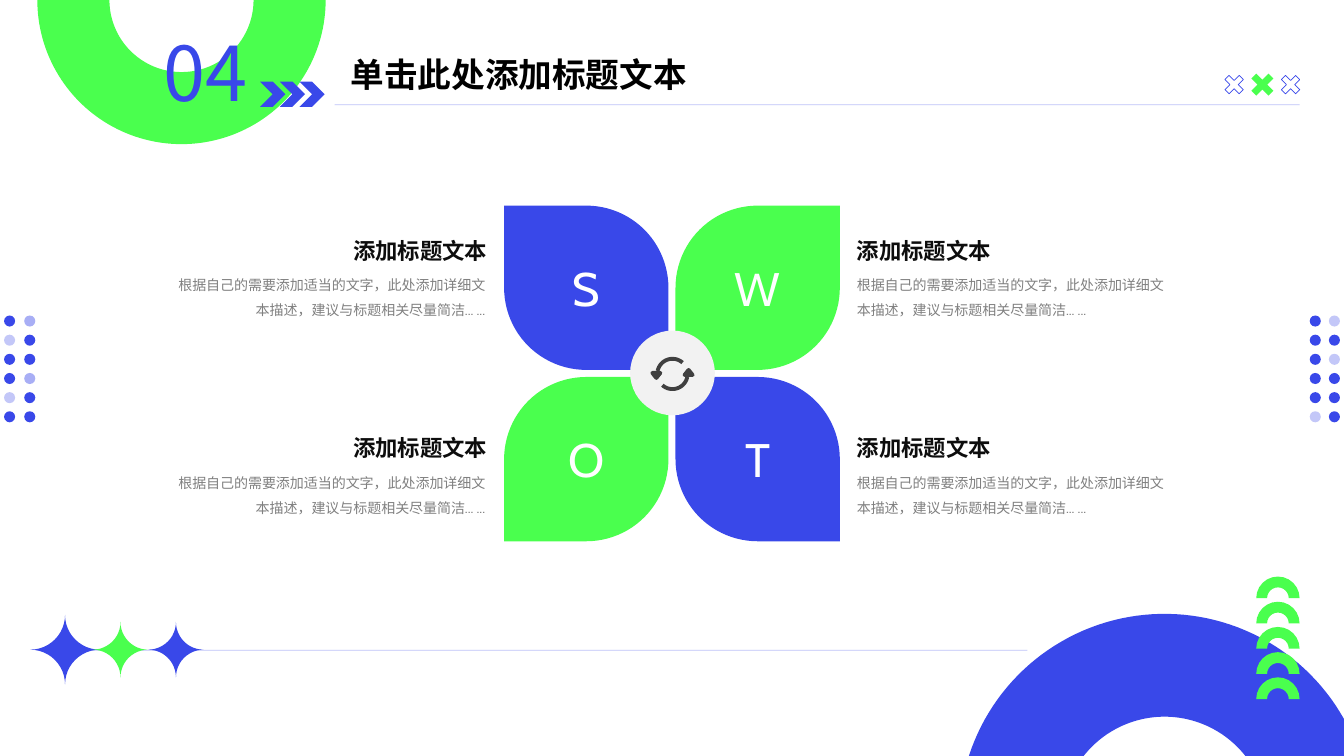
from math import acos, asin, cos, pi, sin

from lxml.etree import SubElement
from pptx import Presentation
from pptx.dml.color import RGBColor
from pptx.enum.shapes import MSO_CONNECTOR, MSO_SHAPE
from pptx.enum.text import MSO_ANCHOR, MSO_AUTO_SIZE, PP_ALIGN
from pptx.oxml.ns import qn
from pptx.util import Inches, Pt

BLUE = RGBColor(0x39, 0x48, 0xE9)
GREEN = RGBColor(0x4A, 0xFF, 0x4E)
BLACK = RGBColor(0, 0, 0)
HEADING = RGBColor(0x0D, 0x0D, 0x0D)
GREY = RGBColor(0x80, 0x80, 0x80)
DARK = RGBColor(0x40, 0x40, 0x40)
PALE = RGBColor(0xF2, 0xF2, 0xF2)
WHITE = RGBColor(0xFF, 0xFF, 0xFF)
FONT, NUMBER_FONT = "Cabin", "Noto Sans CJK SC"
WIDTH, HEIGHT = 13.33, 7.5

# Content
NUMBER = "04"
TITLE = "单击此处添加标题文本"
SUBTITLE = "添加标题文本"
DETAIL = "根据自己的需要添加适当的文字，此处添加详细文本描述，建议与标题相关尽量简洁... ..."
# letter, column, row, colour, heading, detail
SWOT = [
    ("S", 0, 0, BLUE, SUBTITLE, DETAIL),
    ("W", 1, 0, GREEN, SUBTITLE, DETAIL),
    ("O", 0, 1, GREEN, SUBTITLE, DETAIL),
    ("T", 1, 1, BLUE, SUBTITLE, DETAIL),
]
# left edges of the two columns, then opacity in percent for each row
DOTS = [
    ((0.04, 0.24), [(100, 44), (30, 100), (100, 100), (100, 44), (30, 100), (100, 100)]),
    ((12.99, 13.18), [(100, 30), (100, 100), (100, 30), (100, 100), (100, 100), (30, 100)]),
]
# left, top, size, colour
STARS = [(0.3, 6.1, 0.69, BLUE), (1.47, 6.17, 0.55, BLUE), (0.92, 6.17, 0.55, GREEN)]
# left, top, size, filled
CROSSES = [(12.14, 0.74, 0.2, False), (12.4, 0.72, 0.24, True), (12.7, 0.74, 0.2, False)]
# left, right, height on the slide
RULES = [(3.32, 12.89, 1.04), (0.48, 10.19, 6.45)]

prs = Presentation()
prs.slide_width, prs.slide_height = Inches(WIDTH), Inches(HEIGHT)
slide = prs.slides.add_slide(prs.slide_layouts[6])
shapes = slide.shapes


def set_opacity(fill_parent, percent):
    colour = next(fill_parent.iter(qn("a:srgbClr")))
    SubElement(colour, qn("a:alpha")).set("val", str(percent * 1000))


def paint(shape, fill=None, line=None, line_width=0.5):
    shape.shadow.inherit = False
    if fill is None:
        shape.fill.background()
    else:
        shape.fill.solid()
        shape.fill.fore_color.rgb = fill
    if line is None:
        shape.line.fill.background()
    else:
        shape.line.color.rgb = line
        shape.line.width = Pt(line_width)
    return shape


def add_preset(kind, left, top, size, fill=None, line=None, adjust=(), rotation=0):
    shape = shapes.add_shape(kind, Inches(left), Inches(top), Inches(size), Inches(size))
    for index, value in enumerate(adjust):
        shape.adjustments[index] = value
    shape.rotation = rotation
    return paint(shape, fill, line)


def add_outline(contours):
    """Each contour is (points in inches, closed)."""
    scaled = [([(Inches(x), Inches(y)) for x, y in points], closed) for points, closed in contours]
    builder = shapes.build_freeform(*scaled[0][0][0], scale=1.0)
    for index, (points, closed) in enumerate(scaled):
        if index:
            builder.move_to(*points[0])
        builder.add_line_segments(points[1:], close=closed)
    return builder.convert_to_shape()


def arc(cx, cy, radius, start, end, steps=60):
    angles = [start + (end - start) * i / steps for i in range(steps + 1)]
    return [(cx + radius * cos(a), cy + radius * sin(a)) for a in angles]


def style(frame, text, size, colour, font=FONT, bold=False, align=PP_ALIGN.LEFT, spacing=None):
    paragraph = frame.paragraphs[0]
    paragraph.text = text
    paragraph.alignment = align
    if spacing:
        paragraph.line_spacing = spacing
    paragraph.font.name, paragraph.font.size = font, Pt(size)
    paragraph.font.bold, paragraph.font.color.rgb = bold, colour


def add_text(left, top, width, height, *args, wrap=True, **kwargs):
    frame = shapes.add_textbox(Inches(left), Inches(top), Inches(width), Inches(height)).text_frame
    frame.word_wrap = wrap
    frame.auto_size = MSO_AUTO_SIZE.SHAPE_TO_FIT_TEXT
    style(frame, *args, **kwargs)


# Corner rings: the lower one is cut at the slide edges
RING_X, RING_Y, OUTER, INNER = 11.55, 8.13, 2.04, 1.02
rise = HEIGHT - RING_Y
outer_arc = arc(RING_X, RING_Y, OUTER, pi - asin(rise / OUTER) - 2 * pi, -acos((WIDTH - RING_X) / OUTER))
inner_arc = arc(RING_X, RING_Y, INNER, asin(rise / INNER), -pi - asin(rise / INNER))
paint(add_outline([(outer_arc + [(WIDTH, HEIGHT)] + inner_arc, True)]), BLUE)
add_preset(MSO_SHAPE.BLOCK_ARC, 0.37, -1.43, 2.86, GREEN, rotation=180)

# Small arches and chevrons
for i in range(5):
    add_preset(MSO_SHAPE.BLOCK_ARC, 12.46, 5.72 + 0.25 * i, 0.43, GREEN)
for i in range(3):
    add_preset(MSO_SHAPE.CHEVRON, 2.58 + 0.195 * i, 0.81, 0.25, BLUE)

# Dot grids at both sides
for columns, rows in DOTS:
    for row, opacities in enumerate(rows):
        for left, opacity in zip(columns, opacities):
            dot = add_preset(MSO_SHAPE.OVAL, left, 3.13 + 0.19 * row, 0.11, BLUE)
            if opacity < 100:
                set_opacity(dot.fill._xPr, opacity)

# Crosses, rules and stars
for left, top, size, filled in CROSSES:
    add_preset(MSO_SHAPE.CROSS, left, top, size, GREEN if filled else None,
               None if filled else BLUE, adjust=(0.356,), rotation=45)
for left, right, y in RULES:
    rule = shapes.add_connector(MSO_CONNECTOR.STRAIGHT, Inches(left), Inches(y), Inches(right), Inches(y))
    rule.line.color.rgb = BLUE
    rule.line.width = Pt(0.5)
    properties = rule._element.spPr
    set_opacity(properties, 33)
    SubElement(properties, qn("a:effectLst"))
for left, top, size, colour in STARS:
    add_preset(MSO_SHAPE.PLAQUE, left, top, size, colour, adjust=(0.5,))

# Header
add_text(1.52, 0.21, 1.1, 1.01, NUMBER, 54, BLUE, font=NUMBER_FONT, wrap=False)
add_text(3.38, 0.49, 3.97, 0.5, TITLE, 24, BLACK, bold=True)

# Petals with their texts
PETAL, PITCH = 1.63, 1.7
for letter, column, row, colour, heading, detail in SWOT:
    corners = (0, 0.5) if column == row else (0.5, 0)
    petal = add_preset(MSO_SHAPE.ROUND_2_DIAG_RECTANGLE, 5 + PITCH * column, 2.04 + PITCH * row,
                       PETAL, colour, adjust=corners)
    petal.text_frame.vertical_anchor = MSO_ANCHOR.MIDDLE
    style(petal.text_frame, letter, 33.6, WHITE, align=PP_ALIGN.CENTER)

    align = PP_ALIGN.LEFT if column else PP_ALIGN.RIGHT
    drop = 1.96 * row
    add_text(8.4 if column else 1.67, 2.61 + drop, 3.24, 0.58, detail, 10, GREY, align=align, spacing=1.5)
    add_text(8.4 if column else 2.49, 2.3 + drop, 2.44, 0.37, heading, 16, HEADING, bold=True, align=align)

# Hub with the cycle icon: one arrow, and the same arrow turned by half a circle
HUB_X, HUB_Y = 6.67, 3.71
add_preset(MSO_SHAPE.OVAL, 6.25, 3.28, 0.84, PALE)
sweep = arc(HUB_X, HUB_Y, 0.15, 0.2, 2.3, steps=24)
arrowhead = [(6.83, 3.67), (6.87, 3.72), (6.79, 3.72)]
cycle = []
for points, closed in [(sweep, False), (arrowhead, True)]:
    turned = [(2 * HUB_X - x, 2 * HUB_Y - y) for x, y in points]
    cycle += [(points, closed), (turned, closed)]
paint(add_outline(cycle), line=DARK, line_width=2.75)

prs.save("out.pptx")
